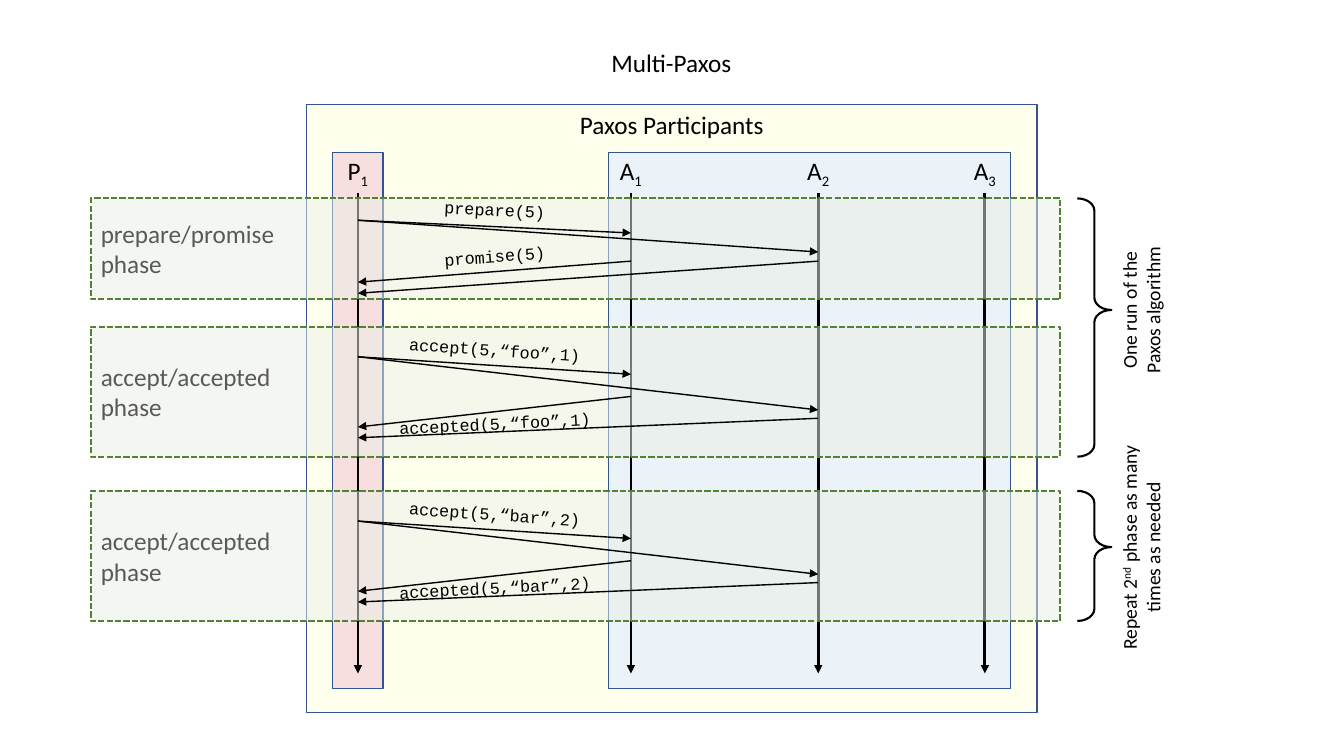
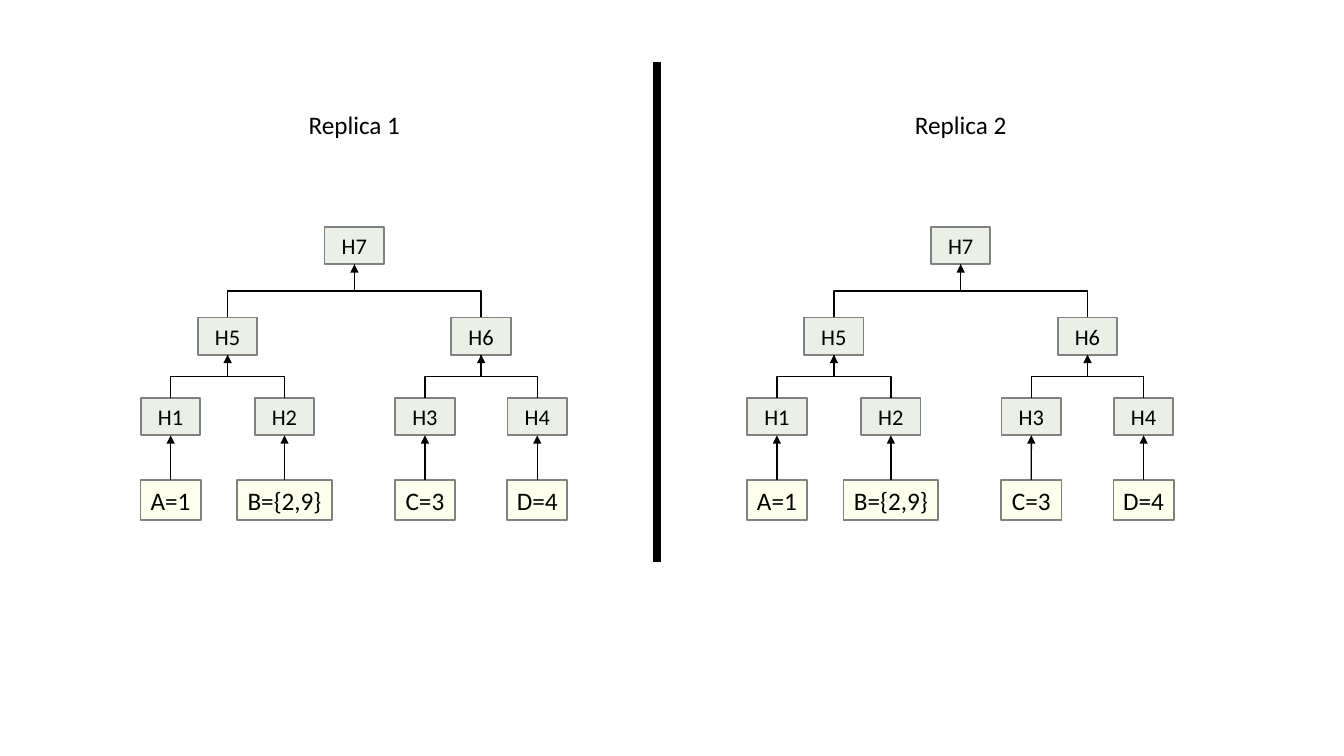
from lxml.etree import SubElement as add_tag
from pptx import Presentation
from pptx.dml.color import RGBColor
from pptx.enum.dml import MSO_LINE as Dash
from pptx.enum.shapes import MSO_CONNECTOR as Link, MSO_SHAPE as Form
from pptx.enum.text import MSO_ANCHOR as Anchor, MSO_AUTO_SIZE as Fit, PP_ALIGN as Align
from pptx.oxml.ns import qn
from pptx.util import Cm, Pt

BLACK, GRAY, EDGE = "000000", "595959", "808080"
CREAM, GREEN, LEAF = "FFFFEE", "EAF0E5", "548235"
PINK, SKY, NAVY = "F8DFDF", "EBF2F8", "325491"
SANS, MONO = "Calibri", "Courier New"
LANES = [9.02, 15.9, 20.62, 24.82]
ROW = 1.02


def hue(code):
    """Turn a hex string into a colour."""
    return RGBColor.from_string(code)


def write(shape, text, size=18, font=SANS, color=BLACK, align=Align.CENTER,
          anchor=Anchor.MIDDLE, wrap=False, base=(0,)):
    """Fill a shape with text; "|" parts runs, which take their baselines from base."""
    frame = shape.text_frame
    frame.auto_size = Fit.NONE
    frame.word_wrap = wrap
    frame.vertical_anchor = anchor
    for i, line in enumerate(text.split("\n")):
        para = frame.add_paragraph() if i else frame.paragraphs[0]
        para.alignment = align
        for part, lift in zip(line.split("|"), base):
            run = para.add_run()
            run.text = part
            run.font.size = Pt(size)
            run.font.name = font
            run.font.color.rgb = hue(color)
            if lift:
                run._r.get_or_add_rPr().set("baseline", str(lift * 1000))


def note(slide, text, mid, top, wide, high=ROW, turn=0, **style):
    """Add a text box centred on mid."""
    box = slide.shapes.add_textbox(Cm(mid - wide / 2), Cm(top), Cm(wide), Cm(high))
    box.rotation = turn
    write(box, text, **style)


def block(slide, x, y, wide, high, fill, line, width=1, form=Form.RECTANGLE):
    """Add a preset shape with its fill and outline."""
    shape = slide.shapes.add_shape(form, Cm(x), Cm(y), Cm(wide), Cm(high))
    shape.shadow.inherit = False
    if fill:
        shape.fill.solid()
        shape.fill.fore_color.rgb = hue(fill)
    else:
        shape.fill.background()
    shape.line.color.rgb = hue(line)
    shape.line.width = Pt(width)
    return shape


def arrow(slide, start, end, width=1, head=True, kind=Link.STRAIGHT):
    """Join two points, with or without an arrowhead."""
    link = slide.shapes.add_connector(kind, *map(Cm, (*start, *end)))
    link.line.color.rgb = hue(BLACK)
    link.line.width = Pt(width)
    props = link.element.spPr
    if head:
        add_tag(props.find(qn("a:ln")), qn("a:tailEnd"), type="triangle")
    add_tag(props, qn("a:effectLst"))
    return link


def elbow(slide, start, end):
    """Bend a line up from a child to its parent."""
    (x1, y1), (x2, y2) = start, end
    left = x1 < x2
    mx, my = (x1 + x2) / 2, (y1 + y2) / 2
    dx, dy = (y1 - y2) / 2, abs(x2 - x1) / 2
    side = dx if left else -dx
    link = arrow(slide, (mx + side, my + dy), (mx - side, my - dy),
                 head=left, kind=Link.ELBOW)
    turn = 90 if left else 270
    link.element.spPr.find(qn("a:xfrm")).set("rot", str(turn * 60000))


def lane(slide, x, top, name):
    """Draw a named lifeline."""
    note(slide, name, x, top, 1.1, base=(0, -25))
    arrow(slide, (x, top + ROW), (x, top + 13.13), width=2)


def cast(slide, x, y, wide, high):
    """Draw the box of participants and their lanes."""
    room = block(slide, x, y, wide, high, CREAM, NAVY)
    write(room, "Paxos Participants", anchor=Anchor.TOP)
    top, tall = y + 1.2, high - 1.81
    block(slide, x + 0.66, top, 1.27, tall, PINK, NAVY)
    block(slide, x + 7.62, top, 10.13, tall, SKY, NAVY)
    for mid, name in zip(LANES, ("P|1", "A|1", "A|2", "A|3")):
        lane(slide, mid, top, name)


def phase(slide, y, high, title, notes, moves, x=2.29, wide=24.43):
    """Draw one phase band with its labels and messages."""
    band = block(slide, x, y, wide, high, GREEN, LEAF, 1.5)
    band.line.dash_style = Dash.SQUARE_DOT
    tint = band.element.spPr.find(qn("a:solidFill"))[0]
    add_tag(tint, qn("a:alpha"), val="50000")
    write(band, title, color=GRAY, align=Align.LEFT)
    for text, top, turn in notes:
        note(slide, text, x + 10.18, y + top, 5.4, 0.76, turn, size=12, font=MONO)
    for src, dst, top, low in moves:
        arrow(slide, (LANES[src], y + top), (LANES[dst], y + low))


def brace(slide, y, high, text, wide, x=27.15, **style):
    """Draw a brace with upright text beside its tip."""
    shape = block(slide, x, y, 0.86, high, None, BLACK, 1.5, Form.RIGHT_BRACE)
    shape.adjustments[0], shape.adjustments[1] = 0.356, 0.432
    note(slide, text, x + 1.6, y + high * 0.432 - 0.72, wide, 1.45, 270,
         size=14, wrap=True, **style)


def paxos(slide):
    """Build the message flow slide."""
    title = slide.shapes.title
    title.left, title.top, title.width, title.height = map(Cm, (14.42, 1.07, 5, ROW))
    write(title, "Multi-Paxos")
    cast(slide, 7.72, 2.64, 18.42, 15.32)
    first = [(0, 1, 0.55, 0.87), (0, 2, 0.55, 1.35), (1, 0, 1.58, 2.11), (2, 0, 1.58, 2.39)]
    later = [(0, 1, 0.76, 1.2), (0, 2, 0.76, 2.1), (1, 0, 1.76, 2.53), (2, 0, 2.31, 2.8)]
    phase(slide, 5, 2.54, "prepare/promise\nphase",
          [("prepare(5)", -0.1, 3), ("promise(5)", 1.07, 356)], first)
    for y, args in ((8.23, "(5,“foo”,1)"), (12.37, "(5,“bar”,2)")):
        phase(slide, y, 3.28, "accept/accepted\nphase",
              [("accept" + args, 0.2, 4), ("accepted" + args, 2.05, 357)], later)
    brace(slide, 5, 6.51, "One run of the Paxos algorithm", 4.67)
    brace(slide, 12.37, 3.28, "Repeat 2|nd| phase as many times as needed", 5.69,
          base=(0, 30, 0))


def node(slide, text, mid, top):
    """Draw a hash node centred on mid."""
    shape = block(slide, mid - 0.75, top, 1.5, 0.94, GREEN, EDGE, 1.25)
    write(shape, text, size=16)
    return shape


def tree(slide, x, y, title):
    """Draw a titled hash tree from its leaves up."""
    mids = [x + step for step in (0.77, 3.64, 7.18, 10.01)]
    low, count = y + 7.41, 0
    for mid, text in zip(mids, ("A=1", "B={2,9}", "C=3", "D=4")):
        count += 1
        wide = 2.39 if len(text) > 3 else 1.52
        leaf = block(slide, mid - wide / 2, y + 9.47, wide, ROW, CREAM, EDGE, 1.25)
        write(leaf, text)
        hash_box = node(slide, f"H{count}", mid, low)
        link = arrow(slide, (mid, y + 9.47), (mid, low + 0.94))
        link.begin_connect(leaf, 0)
        link.end_connect(hash_box, 2)
    for top in (y + 5.38, y + 3.1):
        pairs = list(zip(mids[::2], mids[1::2]))
        mids = [sum(pair) / 2 for pair in pairs]
        for mid, pair in zip(mids, pairs):
            count += 1
            node(slide, f"H{count}", mid, top)
            for child in pair:
                elbow(slide, (child, low), (mid, top + 0.94))
        low = top
    note(slide, title, mids[0], y, 2.84)


def merkle(slide):
    """Build the slide with two replicas."""
    for i in range(2):
        tree(slide, 3.53 + 15.28 * i, 2.62, f"Replica {i + 1}")
    arrow(slide, (16.56, 1.55), (16.56, 14.17), width=6, head=False)


def main():
    """Build and save the deck."""
    deck = Presentation()
    deck.slide_width, deck.slide_height = Cm(33.87), Cm(19.05)
    for build, kind in ((paxos, 5), (merkle, 6)):
        build(deck.slides.add_slide(deck.slide_layouts[kind]))
    deck.save("out.pptx")


if __name__ == "__main__":
    main()
